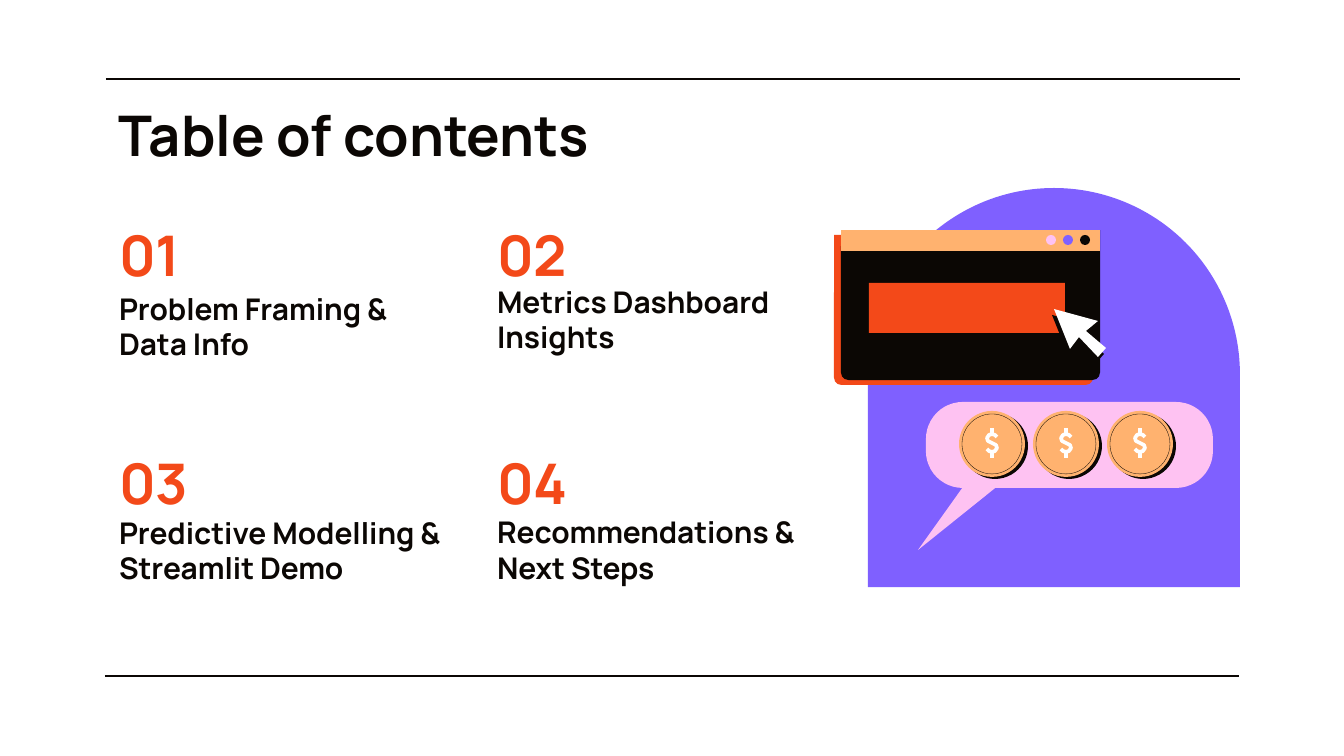
"""Build a table of contents slide with four topics and a browser illustration."""
from dataclasses import dataclass

from lxml import etree
from pptx import Presentation
from pptx.dml.color import RGBColor
from pptx.enum.shapes import MSO_CONNECTOR, MSO_SHAPE
from pptx.enum.text import MSO_ANCHOR
from pptx.oxml.ns import qn
from pptx.util import Emu, Pt

PX = 914400 / 134.4
STRAIGHT = MSO_CONNECTOR.STRAIGHT
RECT = MSO_SHAPE.RECTANGLE
OVAL = MSO_SHAPE.OVAL
ROUND_RECT = MSO_SHAPE.ROUNDED_RECTANGLE
ROUND_ENDS = MSO_SHAPE.ROUND_2_SAME_RECTANGLE
TOP, MIDDLE, BOTTOM = MSO_ANCHOR.TOP, MSO_ANCHOR.MIDDLE, MSO_ANCHOR.BOTTOM


@dataclass(frozen=True)
class Theme:
    """Colours, font and sizes of the slide."""

    font: str = "Manrope"
    ink: str = "0B0704"
    red: str = "F34919"
    violet: str = "7F60FF"
    peach: str = "FFB26F"
    pink: str = "FEC2F2"
    white: str = "FFFFFF"
    heading: int = 30
    body: int = 16
    rule: float = 1.5
    ring: float = 0.17
    symbol: float = 2


THEME = Theme()

TOPICS = [
    ("01", (106, 221), "Problem Framing & Data Info", (106, 282, 328, 93)),
    ("02", (484, 221), "Metrics Dashboard Insights", (484, 277, 379, 91)),
    ("03", (106, 449), "Predictive Modelling & Streamlit Demo", (106, 508, 379, 91)),
    ("04", (484, 449), "Recommendations & Next Steps", (484, 508, 379, 90)),
]
POINTER = [(1054, 309), (1070, 349), (1079, 337), (1098, 357),
           (1106, 348), (1086, 331), (1098, 321)]
TAIL = [(968, 480), (918, 550), (1004, 481)]
DOLLAR = [
    [(5, -6), (3, -8), (0, -9), (-3, -8), (-5, -5), (-4, -2), (0, 0),
     (4, 2), (5, 5), (3, 8), (0, 9), (-3, 8), (-5, 6)],
    [(0, -15), (0, -9)],
    [(0, 9), (0, 15)],
]


def px(*values):
    """Turn pixels into EMU lengths."""
    return [Emu(round(v * PX)) for v in values]


def shift(points, dx, dy):
    """Move points by an offset."""
    return [(x + dx, y + dy) for x, y in points]


def paint(sp, fill=None, line=None, width=0):
    """Set the fill and outline of a shape."""
    sp.shadow.inherit = False
    if fill:
        sp.fill.solid()
        sp.fill.fore_color.rgb = RGBColor.from_string(fill)
    else:
        sp.fill.background()
    if line:
        sp.line.color.rgb = RGBColor.from_string(line)
        sp.line.width = Pt(width)
    else:
        sp.line.fill.background()


def add_preset(s, kind, box, adjust=(), **look):
    """Add a painted preset shape."""
    sp = s.shapes.add_shape(kind, *px(*box))
    for i, value in enumerate(adjust):
        sp.adjustments[i] = value
    paint(sp, **look)


def add_disc(s, x, y, radius, **look):
    """Add a circle around a centre."""
    add_preset(s, OVAL, (x - radius, y - radius, 2 * radius, 2 * radius), **look)


def add_outline(s, contours, close=True, **look):
    """Add a freeform made of one or more contours."""
    builder = s.shapes.build_freeform(*contours[0][0], scale=PX)
    for i, points in enumerate(contours):
        if i:
            builder.move_to(*points[0])
        builder.add_line_segments(points[1:], close=close)
    paint(builder.convert_to_shape(), **look)


def add_rule(s, x, y, length):
    """Add a horizontal rule."""
    line = s.shapes.add_connector(STRAIGHT, *px(x, y, x + length, y))
    line.line.color.rgb = RGBColor.from_string(THEME.ink)
    line.line.width = Pt(THEME.rule)
    etree.SubElement(line._element.spPr, qn("a:effectLst"))


def add_text(s, text, box, size, color, anchor):
    """Add a bold wrapped text box."""
    tf = s.shapes.add_textbox(*px(*box)).text_frame
    margin = px(13)[0]
    frame = {"word_wrap": True, "vertical_anchor": anchor, "margin_left": margin,
             "margin_right": margin, "margin_top": margin, "margin_bottom": margin}
    for name, value in frame.items():
        setattr(tf, name, value)
    r = tf.paragraphs[0].add_run()
    r.text = text
    for name, value in {"name": THEME.font, "size": Pt(size), "bold": True}.items():
        setattr(r.font, name, value)
    r.font.color.rgb = RGBColor.from_string(color)


def add_topic(s, number, place, label, box):
    """Add a numbered topic."""
    add_text(s, number, (*place, 121, 66), THEME.heading, THEME.red, MIDDLE)
    add_text(s, label, box, THEME.body, THEME.ink, BOTTOM)


def add_window(s):
    """Add the browser window with its pointer."""
    for box, color in [((834, 235, 259, 150), THEME.red),
                       ((841, 230, 259, 150), THEME.ink)]:
        add_preset(s, ROUND_ENDS, box, (0, 0.05), fill=color)
    add_preset(s, RECT, (841, 230, 259, 21), fill=THEME.peach)
    for i, color in enumerate([THEME.pink, THEME.violet, THEME.ink]):
        add_disc(s, 1051 + 17 * i, 240, 5, fill=color)
    add_preset(s, RECT, (869, 283, 196, 50), fill=THEME.red)
    add_outline(s, [shift(POINTER, -2, 6)], fill=THEME.ink)
    add_outline(s, [POINTER], fill=THEME.white)


def add_coin(s, x, y):
    """Add a coin around a centre."""
    add_disc(s, x + 3, y + 2, 33, fill=THEME.ink)
    add_disc(s, x, y, 33, fill=THEME.peach)
    add_disc(s, x, y, 30, line=THEME.ink, width=THEME.ring)
    add_outline(s, [shift(c, x, y - 1) for c in DOLLAR], close=False,
                line=THEME.white, width=THEME.symbol)


def add_bubble(s):
    """Add the speech bubble with three coins."""
    add_preset(s, ROUND_RECT, (926, 402, 287, 86), (0.43,), fill=THEME.pink)
    add_outline(s, [TAIL], fill=THEME.pink)
    for i in range(3):
        add_coin(s, 992 + 74 * i, 444)


def main():
    """Build and save the slide."""
    prs = Presentation()
    prs.slide_width, prs.slide_height = px(1344, 756)
    s = prs.slides.add_slide(prs.slide_layouts[6])
    add_rule(s, 106, 79, 1134)
    add_rule(s, 105, 676, 1134)
    add_text(s, "Table of contents", (106, 88, 1133, 85),
             THEME.heading, THEME.ink, TOP)
    for topic in TOPICS:
        add_topic(s, *topic)
    add_preset(s, ROUND_ENDS, (868, 188, 372, 399), (0.5, 0), fill=THEME.violet)
    add_window(s)
    add_bubble(s)
    prs.save("out.pptx")


if __name__ == "__main__":
    main()
